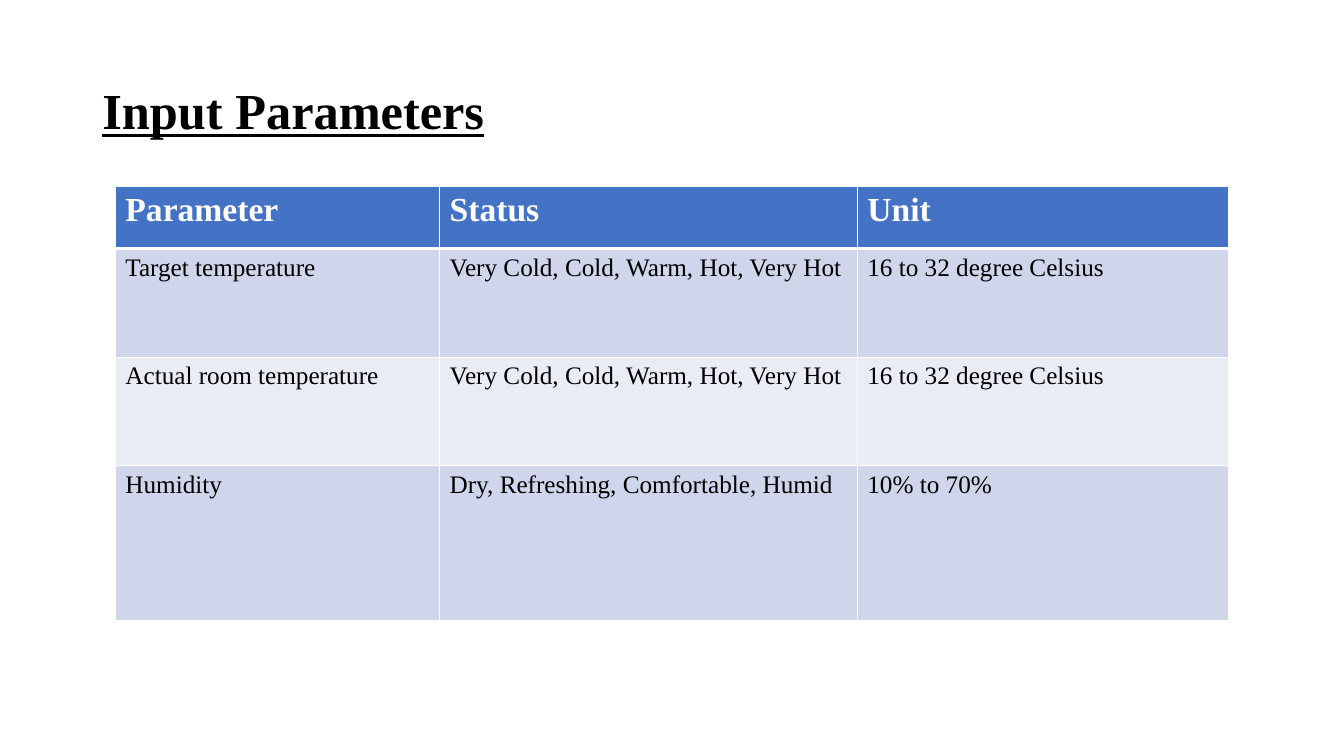
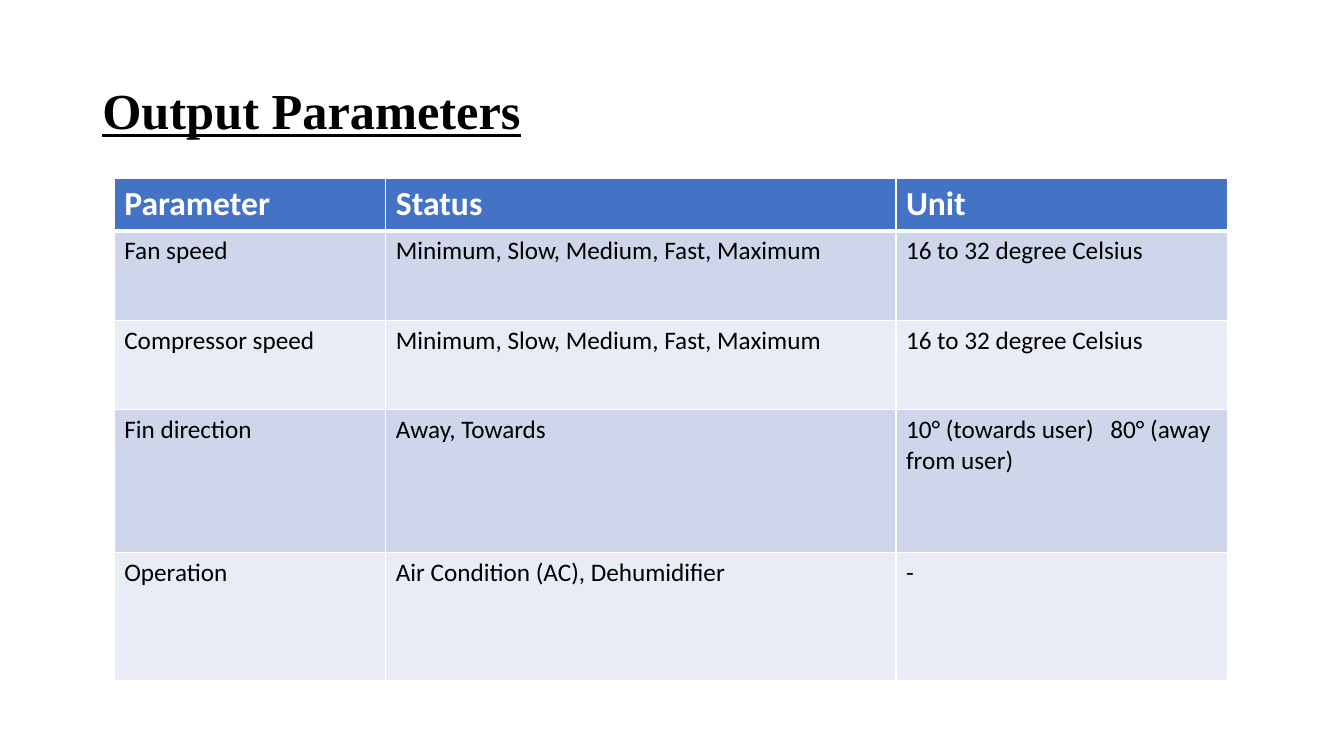
from lxml import etree
from pptx import Presentation
from pptx.dml.color import RGBColor
from pptx.enum.text import MSO_ANCHOR
from pptx.oxml.ns import qn
from pptx.util import Pt

MIDDLE = MSO_ANCHOR.MIDDLE
SERIF, SANS = "Times New Roman", "Calibri"
BLACK, WHITE, BLUE = "000000", "FFFFFF", "4472C4"
BANDS = ["CFD5EA", "E9EBF5"]
HEADS = ["Parameter", "Status", "Unit"]
RANGE = "16 to 32 degree Celsius"
TEMPS = "Very Cold, Cold, Warm, Hot, Very Hot"
SPEEDS = "Minimum, Slow, Medium, Fast, Maximum"
INPUTS = [
    ["Target temperature", TEMPS, RANGE],
    ["Actual room temperature", TEMPS, RANGE],
    ["Humidity", "Dry, Refreshing, Comfortable, Humid", "10% to 70%"],
]
OUTPUTS = [
    ["Fan speed", SPEEDS, RANGE],
    ["Compressor speed", SPEEDS, RANGE],
    ["Fin direction", "Away, Towards", "10° (towards user)\t80° (away from user)"],
    ["Operation", "Air Condition (AC), Dehumidifier", "-"],
]


def color(code):
    """Turn a hex string into a colour."""
    return RGBColor.from_string(code)


def style(para, face, size, code, bold):
    """Set the font of a paragraph."""
    font = para.font
    font.name, font.size, font.bold = face, Pt(size), bold
    font.color.rgb = color(code)


def add_title(slide, text):
    """Add the underlined slide title."""
    box = slide.shapes.add_textbox(Pt(66), Pt(28.8), Pt(828), Pt(104.4))
    frame = box.text_frame
    frame.word_wrap = True
    frame.vertical_anchor = MIDDLE
    para = frame.paragraphs[0]
    para.text = text
    para.line_spacing = 0.9
    style(para, SERIF, 36, BLACK, True)
    para.font.underline = True


def add_edge(cell, side, width):
    """Draw one white border of a cell."""
    props = cell._tc.get_or_add_tcPr()
    line = etree.SubElement(props, qn("a:ln" + side), w=str(Pt(width)))
    fill = etree.SubElement(line, qn("a:solidFill"))
    etree.SubElement(fill, qn("a:srgbClr"), val=WHITE)


def add_stop(para, place):
    """Set a left tab stop in a paragraph."""
    stops = etree.SubElement(para._p.get_or_add_pPr(), qn("a:tabLst"))
    etree.SubElement(stops, qn("a:tab"), pos=str(Pt(place)), algn="l")


def fill_cell(cell, text, row, face):
    """Write and style one cell of the given row."""
    head = row == 0
    edges = {"L": 1, "R": 1, "T": 3 if row == 1 else 1, "B": 3 if head else 1}
    for side, width in edges.items():
        add_edge(cell, side, width)
    cell.fill.solid()
    cell.fill.fore_color.rgb = color(BLUE if head else BANDS[(row - 1) % 2])
    para = cell.text_frame.paragraphs[0]
    para.text = text
    if "\t" in text:
        add_stop(para, 146)
    style(para, face, 24 if head else 18, WHITE if head else BLACK, head)


def add_grid(slide, left, top, widths, heights, body, face):
    """Add a table with a header row and banded body rows."""
    rows = [HEADS] + body
    table = slide.shapes.add_table(
        len(rows), len(HEADS), Pt(left), Pt(top),
        Pt(sum(widths)), Pt(sum(heights))).table
    table.first_row = table.horz_banding = False
    for col, width in zip(table.columns, widths):
        col.width = Pt(width)
    for line, height in zip(table.rows, heights):
        line.height = Pt(height)
    for row, texts in enumerate(rows):
        for col, text in enumerate(texts):
            fill_cell(table.cell(row, col), text, row, face)


def main():
    """Build both slides and save them."""
    deck = Presentation()
    deck.slide_width, deck.slide_height = Pt(960), Pt(540)
    pages = [
        ("Input Parameters", 82.4, 133.2, [231.6, 298.4, 265],
         [44.4, 77.6, 77.6, 110.8], INPUTS, SERIF),
        ("Output Parameters", 81.6, 127.6, [194, 364.4, 236.6],
         [37.2, 64, 64, 102.2, 91.4], OUTPUTS, SANS),
    ]
    for title, *grid in pages:
        slide = deck.slides.add_slide(deck.slide_layouts[6])
        add_title(slide, title)
        add_grid(slide, *grid)
    deck.save("out.pptx")


main()
